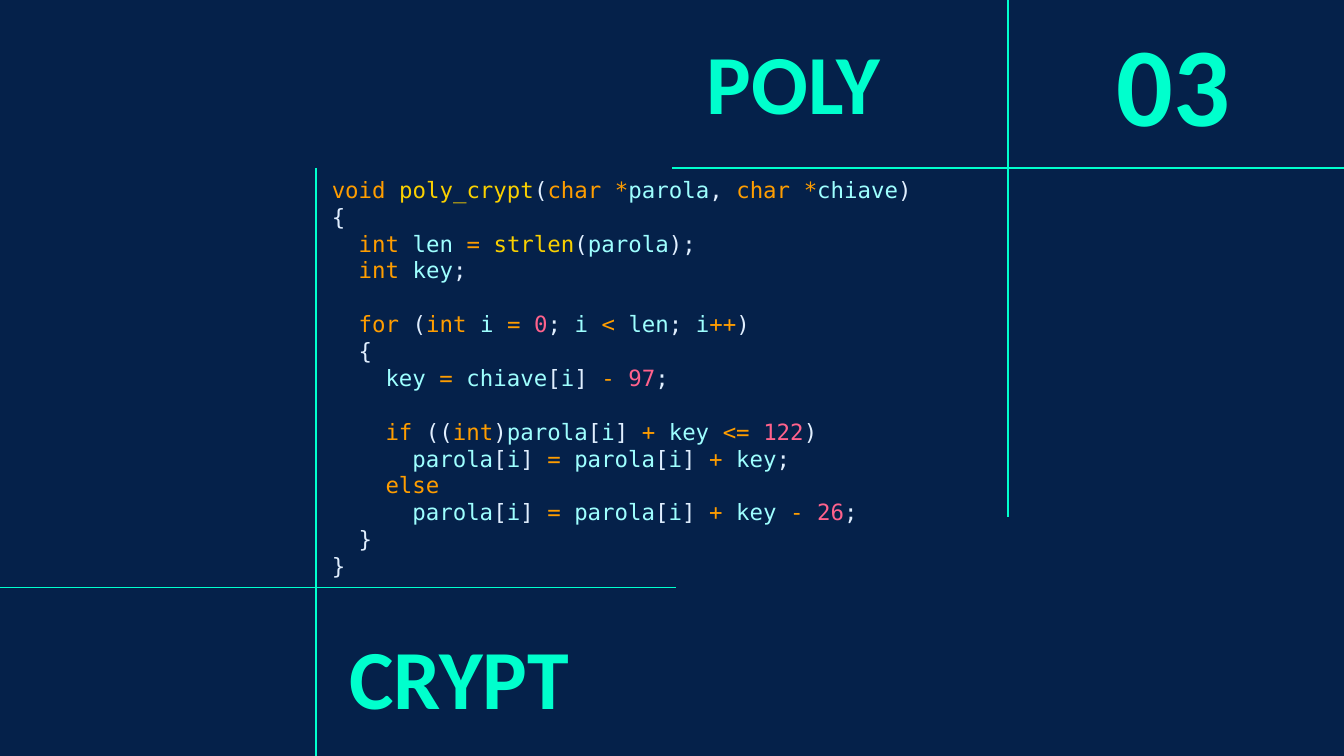
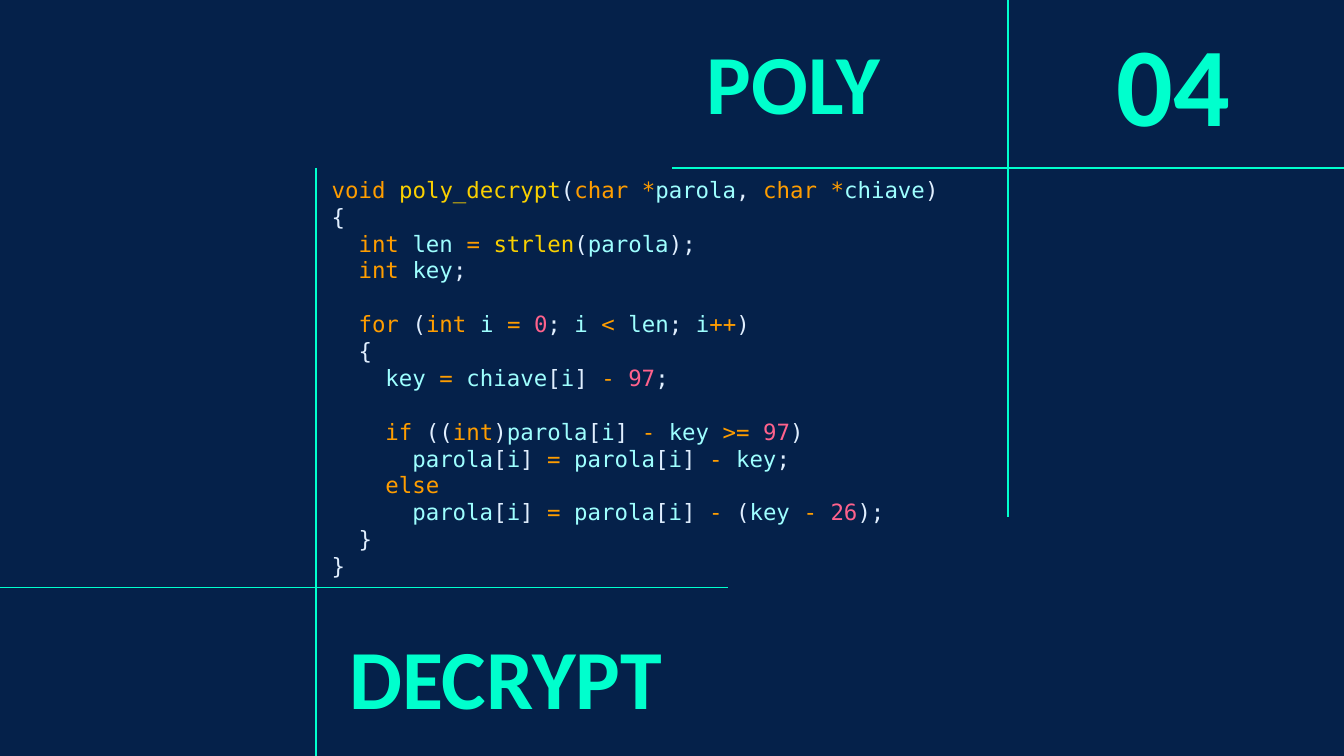
from dataclasses import dataclass
from itertools import groupby

from lxml import etree
from pptx import Presentation
from pptx import util as u
from pptx.dml import color
from pptx.enum import shapes, text
from pptx.oxml import ns


@dataclass(frozen=True)
class Theme:
    background: str = "05214A"
    accent: str = "00FFCD"
    keyword: str = "FF9D00"
    function: str = "FAD000"
    name: str = "9EFFFF"
    number: str = "FF628C"
    punctuation: str = "E1EFFF"
    heading_font: str = "Calibri"
    code_font: str = "DejaVu Sans Mono"
    heading_size: float = 45
    number_size: float = 60
    code_size: float = 12
    code_line: float = 14.4
    code_indent: float = 0.1  # inches for each leading space
    line_width: float = 0.75


WIDTH = 10
HEIGHT = WIDTH * 9 / 16
KEYWORDS = {"void", "char", "int", "for", "if", "else"}
FUNCTIONS = {"strlen", "poly_crypt", "poly_decrypt"}
OPERATORS = "*=<>+-"

# The two functions differ only in name, test and shift
CODE = """void {function}(char *parola, char *chiave)
{{
  int len = strlen(parola);
  int key;

  for (int i = 0; i < len; i++)
  {{
    key = chiave[i] - 97;

    if ((int)parola[i] {test})
      parola[i] = parola[i] {shift};
    else
      parola[i] = parola[i] {wrapped};
  }}
}}"""


def character_kind(character):
    if character.isalnum() or character == "_":
        return "word"
    if character.isspace():
        return "space"
    return "operator" if character in OPERATORS else "punctuation"


class Deck:
    def __init__(self, theme):
        self.theme = theme
        self.presentation = Presentation()
        self.presentation.slide_width = u.Inches(WIDTH)
        self.presentation.slide_height = u.Inches(HEIGHT)
        fill = self.presentation.slide_master.background.fill
        fill.solid()
        fill.fore_color.rgb = self.rgb(theme.background)
        self.slide = None

    @staticmethod
    def rgb(value):
        return color.RGBColor.from_string(value)

    def new_slide(self):
        layout = self.presentation.slide_layouts.get_by_name("Title Only")
        self.slide = self.presentation.slides.add_slide(layout)

    def line(self, x1, y1, x2, y2):
        connector = self.slide.shapes.add_connector(
            shapes.MSO_CONNECTOR.STRAIGHT, *map(u.Inches, (x1, y1, x2, y2)))
        connector.line.color.rgb = self.rgb(self.theme.accent)
        connector.line.width = u.Pt(self.theme.line_width)
        etree.SubElement(connector._element.spPr, ns.qn("a:effectLst"))

    def text_box(self, left, top, width, height):
        return self.slide.shapes.add_textbox(
            *map(u.Inches, (left, top, width, height)))

    def heading(self, shape, words, size):
        frame = shape.text_frame
        frame.text = words
        frame.word_wrap = True
        frame.auto_size = text.MSO_AUTO_SIZE.NONE
        frame.vertical_anchor = text.MSO_ANCHOR.MIDDLE
        for side in ("left", "top", "right", "bottom"):
            setattr(frame, f"margin_{side}", u.Inches(0.1))
        paragraph = frame.paragraphs[0]
        paragraph.alignment = text.PP_ALIGN.LEFT
        font = paragraph.font
        font.name, font.size, font.bold = self.theme.heading_font, u.Pt(size), True
        font.color.rgb = self.rgb(self.theme.accent)

    def title(self, words, left, top, width, height):
        shape = self.slide.shapes.title
        shape.left, shape.top, shape.width, shape.height = map(
            u.Inches, (left, top, width, height))
        self.heading(shape, words, self.theme.heading_size)

    def label(self, words, size, *box):
        self.heading(self.text_box(*box), words, size)

    def token_color(self, kind, token):
        if kind == "operator" or token in KEYWORDS:
            return self.theme.keyword
        if token in FUNCTIONS:
            return self.theme.function
        if token.isdigit():
            return self.theme.number
        return self.theme.name if kind == "word" else self.theme.punctuation

    def code(self, source, *box):
        frame = self.text_box(*box).text_frame
        frame.word_wrap = True
        frame.auto_size = text.MSO_AUTO_SIZE.SHAPE_TO_FIT_TEXT
        paragraph, gap = frame.paragraphs[0], 0
        for number, line in enumerate(source.splitlines()):
            if not line:
                gap = self.theme.code_line
                continue
            if number:
                paragraph = frame.add_paragraph()
            paragraph.space_before, gap = u.Pt(gap), 0
            paragraph.font.name = self.theme.code_font
            paragraph.font.size = u.Pt(self.theme.code_size)
            statement = line.lstrip()
            indent = u.Inches(self.theme.code_indent * (len(line) - len(statement)))
            paragraph._p.get_or_add_pPr().set("marL", str(indent))
            for kind, characters in groupby(statement, character_kind):
                run = paragraph.add_run()
                run.text = token = "".join(characters)
                run.font.color.rgb = self.rgb(self.token_color(kind, token))
                if token == "*":
                    run.font.italic = True

    def function_slide(self, number, name, lower_line_end, widths, source):
        number_width, name_width, code_width = widths
        self.new_slide()
        # Crossing lines
        self.line(5, 1.25, WIDTH, 1.25)
        self.line(0, 4.37, lower_line_end, 4.37)
        self.line(2.35, 1.25, 2.35, HEIGHT)
        self.line(7.5, 0, 7.5, 3.85)
        # Function listing
        self.code(source, 2.37, 1.26, code_width, 3.13)
        # Split title and section number
        self.title("POLY", 5.16, 0.04, 2.86, 1.12)
        self.label(number, self.theme.number_size, 8.21, 0.19, number_width, 0.83)
        self.label(name, self.theme.heading_size, 2.5, 4.47, name_width, 1.12)


def main():
    deck = Deck(Theme())
    deck.function_slide("03", "CRYPT", 5.03, (1.22, 2.86, 4.61), CODE.format(
        function="poly_crypt", test="+ key <= 122",
        shift="+ key", wrapped="+ key - 26"))
    deck.function_slide("04", "DECRYPT", 5.42, (1.33, 3.01, 5), CODE.format(
        function="poly_decrypt", test="- key >= 97",
        shift="- key", wrapped="- (key - 26)"))
    deck.presentation.save("out.pptx")


if __name__ == "__main__":
    main()
